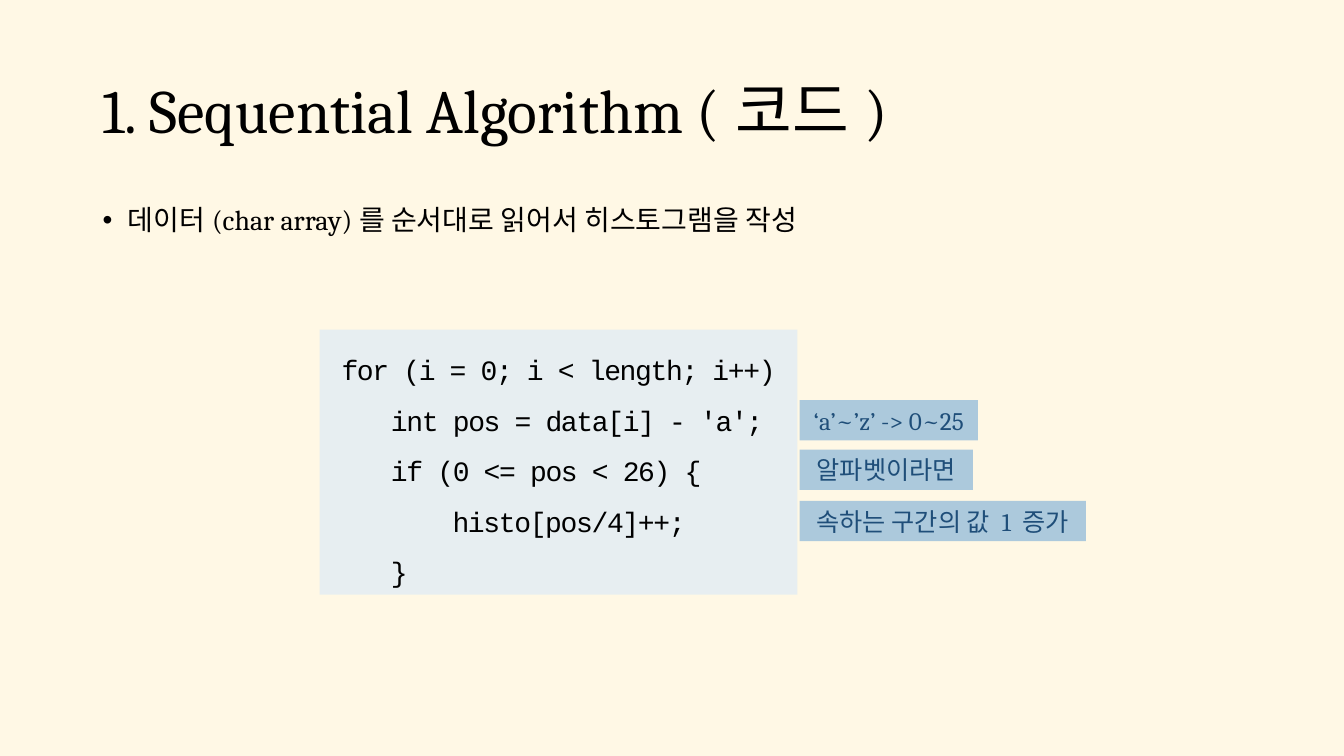
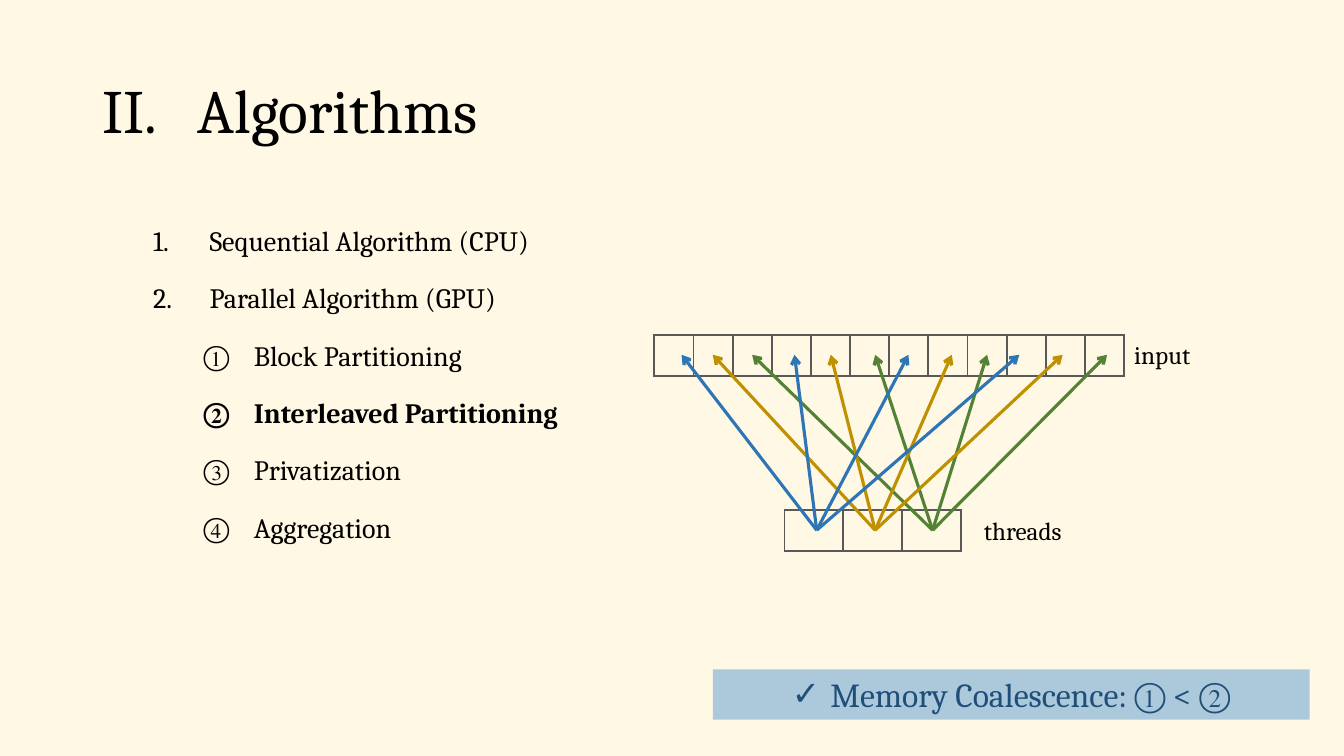
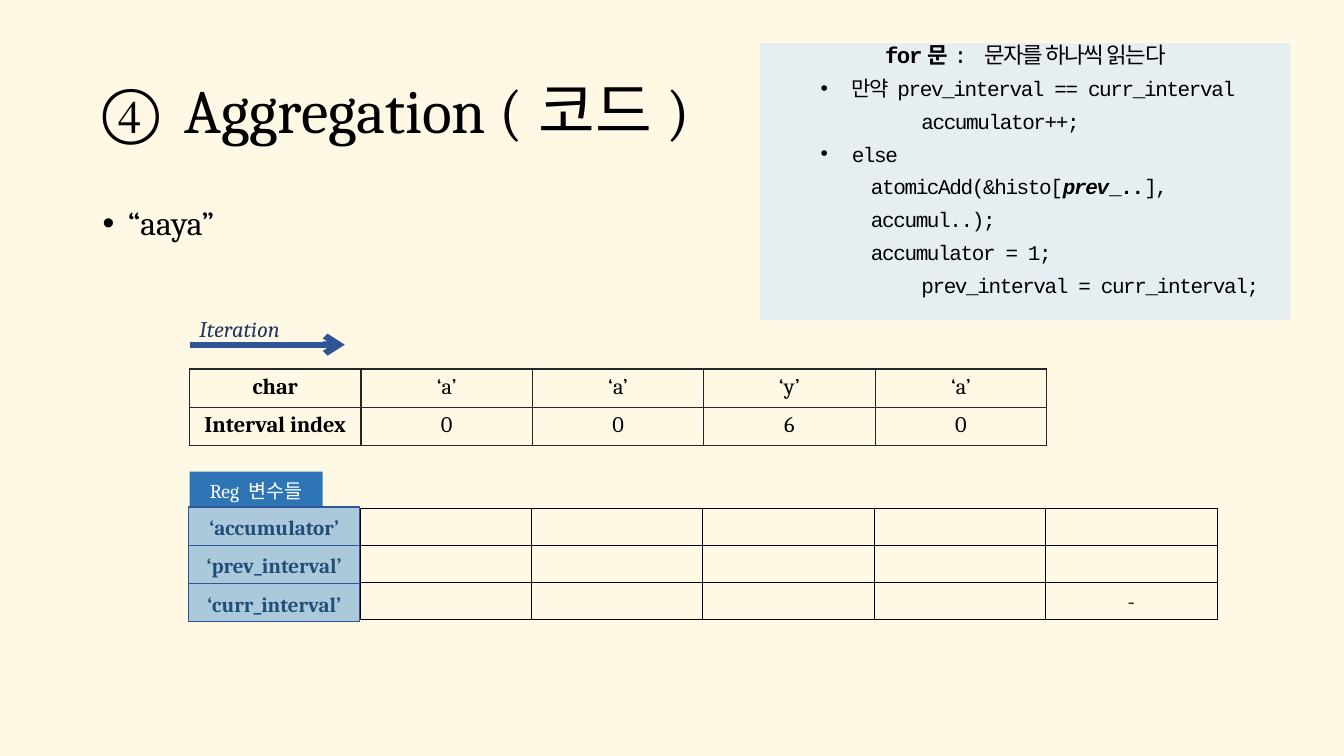
from dataclasses import dataclass, field
from typing import Any

from lxml import etree
from pptx import Presentation
from pptx.dml.color import RGBColor
from pptx.enum import shapes as sh, text as tx
from pptx.oxml import ns
from pptx.util import Inches, Pt

Box = tuple[float, float, float, float]


@dataclass(frozen=True)
class Theme:
    back: str = "FFF8E5"
    ink: str = "000000"
    navy: str = "1F4E79"
    deep: str = "203864"
    edge: str = "2F5597"
    blue: str = "2E75B6"
    gold: str = "BF9000"
    green: str = "548235"
    chip: str = "5B9BD5"
    code: str = "DEEBF7"
    grey: str = "595959"
    dark: str = "262626"
    white: str = "FFFFFF"
    serif: str = "Cambria"
    mono: str = "Courier New"
    title: float = 44
    large: float = 24
    body: float = 20
    label: float = 18
    small: float = 16
    tiny: float = 15
    tag: float = 14


T = Theme()
MID = tx.PP_ALIGN.CENTER


@dataclass(frozen=True)
class Font:
    size: float
    color: str = T.ink
    name: str = T.serif
    bold: bool = False
    italic: bool = False
    track: int = 0


@dataclass(frozen=True)
class Para:
    """One paragraph; each run is a text with its font changes."""
    runs: list[tuple[str, dict[str, Any]]]
    left: float = 0
    hang: float = 0
    mark: str = ""
    start: int = 1
    fmt: dict[str, Any] = field(default_factory=dict)


@dataclass(frozen=True)
class Thread:
    color: str
    foot: float
    tips: tuple[float, ...]


def line(text: str, left: float = 0, hang: float = 0, mark: str = "",
         start: int = 1, bold: bool = False, **fmt: Any) -> Para:
    return Para([(text, {"bold": bold} if bold else {})], left, hang, mark, start, fmt)


def child(node: Any, tag: str, **attrs: str) -> Any:
    part = etree.SubElement(node, ns.qn(tag))
    for key, val in attrs.items():
        part.set(key, val)
    return part


# Text
def style(run: Any, font: Font, change: dict[str, Any]) -> None:
    vals = {"size": Pt(font.size), "name": font.name, "bold": font.bold,
            "italic": font.italic} | change
    for key, val in vals.items():
        setattr(run.font, key, val)
    run.font.color.rgb = RGBColor.from_string(font.color)
    if font.track:
        run.font._element.set("spc", str(font.track))


def write(frame: Any, paras: list[Para], font: Font) -> None:
    for i, item in enumerate(paras):
        para = frame.paragraphs[0] if i == 0 else frame.add_paragraph()
        for key, val in item.fmt.items():
            setattr(para, key, val)
        props = para._p.get_or_add_pPr()
        props.set("marL", str(Inches(item.left)))
        props.set("indent", str(Inches(-item.hang)))
        if len(item.mark) > 1:
            child(props, "a:buAutoNum", type=item.mark, startAt=str(item.start))
        elif item.mark:
            child(props, "a:buFont", typeface="Arial")
            child(props, "a:buChar", char=item.mark)
        else:
            child(props, "a:buNone")
        for text, change in item.runs:
            run = para.add_run()
            run.text = text
            style(run, font, change)


def setup(frame: Any, wrap: bool, grow: bool, mid: bool) -> None:
    vals = {
        "word_wrap": wrap,
        "auto_size": tx.MSO_AUTO_SIZE.SHAPE_TO_FIT_TEXT if grow else tx.MSO_AUTO_SIZE.NONE,
        "vertical_anchor": tx.MSO_ANCHOR.MIDDLE if mid else tx.MSO_ANCHOR.TOP,
    }
    for key, val in vals.items():
        setattr(frame, key, val)


def note(slide: Any, box: Box, paras: list[Para], font: Font,
         wrap: bool = True, grow: bool = False, mid: bool = False) -> None:
    shape = slide.shapes.add_textbox(*map(Inches, box))
    setup(shape.text_frame, wrap, grow, mid)
    write(shape.text_frame, paras, font)


# Shapes
def rect(slide: Any, box: Box, paras: list[Para], font: Font, fill: str = "",
         alpha: int = 100, edge: str = "", width: float = 0.5,
         wrap: bool = True, grow: bool = True, mid: bool = False) -> Any:
    shape = slide.shapes.add_shape(sh.MSO_SHAPE.RECTANGLE, *map(Inches, box))
    shape.shadow.inherit = False
    if fill:
        shape.fill.solid()
        shape.fill.fore_color.rgb = RGBColor.from_string(fill)
        if alpha < 100:
            color = shape._element.spPr.find(".//" + ns.qn("a:srgbClr"))
            child(color, "a:alpha", val=str(alpha * 1000))
    else:
        shape.fill.background()
    if edge:
        shape.line.color.rgb = RGBColor.from_string(edge)
        shape.line.width = Pt(width)
    else:
        shape.line.fill.background()
    setup(shape.text_frame, wrap, grow and bool(paras), mid)
    write(shape.text_frame, paras, font)
    return shape


def arrow(slide: Any, x1: float, y1: float, x2: float, y2: float,
          color: str, width: float) -> None:
    link = slide.shapes.add_connector(
        sh.MSO_CONNECTOR.STRAIGHT, *map(Inches, (x1, y1, x2, y2)))
    link.line.color.rgb = RGBColor.from_string(color)
    link.line.width = Pt(width)
    child(link.line._get_or_add_ln(), "a:tailEnd", type="arrow")
    child(link._element.spPr, "a:effectLst")


def table(slide: Any, box: Box, rows: list[list[str]], color: str,
          width: float) -> None:
    grid = slide.shapes.add_table(len(rows), len(rows[0]), *map(Inches, box)).table
    grid.first_row = grid.horz_banding = False
    for r, row in enumerate(rows):
        for c, text in enumerate(row):
            cell = grid.cell(r, c)
            props = cell._tc.get_or_add_tcPr()
            for side in ("L", "R", "T", "B"):
                edge = child(props, f"a:ln{side}", w=str(Pt(width)))
                child(child(edge, "a:solidFill"), "a:srgbClr", val=color)
            cell.fill.background()
            if text:
                write(cell.text_frame, [line(text, bold=c == 0, alignment=MID)],
                      Font(T.small))


# Shared frame of every slide
def page(deck: Any, title: Para, body: list[Para], size: float) -> Any:
    slide = deck.slides.add_slide(deck.slide_layouts[6])
    slide.background.fill.solid()
    slide.background.fill.fore_color.rgb = RGBColor.from_string(T.back)
    note(slide, (0.92, 0.4, 11.5, 1.45), [title], Font(T.title), mid=True)
    note(slide, (0.92, 2, 11.5, 4.76), body, Font(size))
    return slide


def bullet(text: str) -> Para:
    return line(text, 0.25, 0.25, "•", line_spacing=0.9, space_before=Pt(10))


def serial(deck: Any) -> None:
    slide = page(deck, line("1. Sequential Algorithm (코드)", line_spacing=0.9),
                 [bullet("데이터(char array)를 순서대로 읽어서 히스토그램을 작성")], T.body)
    # Code, indented by steps of four letters
    step = 0.61
    code = [(0, "for (i = 0; i < length; i++)"), (1, "int pos = data[i] - 'a';"),
            (1, "if (0 <= pos < 26) {"), (2, "histo[pos/4]++;"), (1, "}")]
    rect(slide, (3.17, 3.27, 4.74, 2.63),
         [line(text, step * deep, line_spacing=1.5) for deep, text in code],
         Font(T.body, name=T.mono, track=-100), T.code, 70, mid=True)
    # Remarks beside the code
    for top, wide, text in [(3.97, 1.77, "‘a’~’z’ -> 0~25"), (4.46, 1.72, "알파벳이라면"),
                            (4.97, 2.84, "속하는 구간의 값 1 증가")]:
        rect(slide, (7.93, top, wide, 0.4), [line(text, alignment=MID)],
             Font(T.label, T.navy), T.chip, 50, wrap=False)


def plan(deck: Any) -> None:
    gaps = {"line_spacing": 1.5, "space_before": Pt(5)}
    heads = ["Sequential Algorithm (CPU)", "Parallel Algorithm (GPU)"]
    steps = ["Block Partitioning", "Interleaved Partitioning", "Privatization", "Aggregation"]
    body = [line(text, 1.06, 0.56, "arabicPeriod", level=1, **gaps) for text in heads]
    body += [line(text, 1.5, 0.5, "circleNumDbPlain", bold=text == steps[1], level=2, **gaps)
             for text in steps]
    title = line("Algorithms", 0.94, 0.94, "romanUcPeriod", 2, line_spacing=0.9)
    slide = page(deck, title, body, T.body)
    # Thread and input cells
    table(slide, (7.78, 5.06, 1.75, 0.41), [[""] * 3], T.grey, 1.5)
    table(slide, (6.49, 3.32, 4.66, 0.41), [[""] * 12], T.grey, 1.5)
    for box, text in [((11.15, 3.32, 0.78, 0.4), "input"), ((9.66, 5.06, 1.02, 0.4), "threads")]:
        note(slide, box, [line(text)], Font(T.label), wrap=False, grow=True)
    # Each thread reads every third cell
    threads = [Thread(T.gold, 8.68, (7.07, 8.24, 9.44, 10.54)),
               Thread(T.blue, 8.1, (6.76, 7.88, 9.01, 10.11)),
               Thread(T.green, 9.25, (7.46, 8.68, 9.79, 10.98))]
    for turn in range(4):
        for item in threads:
            arrow(slide, item.foot, 5.26, item.tips[turn], 3.52, item.color, 2.25)
    # Result bar
    rect(slide, (7.07, 6.64, 5.92, 0.5),
         [line("Memory Coalescence: ① < ②", 0.38, 0.38, "✓", alignment=MID)],
         Font(T.large, T.navy), T.chip, 50)


def gather(deck: Any) -> None:
    title = line("Aggregation (코드)", 0.81, 0.81, "circleNumDbPlain", 4, line_spacing=0.9)
    slide = page(deck, title, [bullet("“aaya”")], T.large)
    table(slide, (1.88, 3.66, 8.5, 0.76),
          [["char", "‘a’", "‘a’", "‘y’", "‘a’"], ["Interval index", "0", "0", "6", "0"]],
          T.dark, 1)
    # Code outline
    gap = {"line_spacing": 1.3}
    big = {"size": Pt(T.small)}
    code = [
        Para([("for문", big | {"bold": True}), (": 문자를 하나씩 읽는다", big)], fmt=gap),
        line("만약 prev_interval == curr_interval", 0.81, 0.31, "•", **gap),
        line("accumulator++;", 1.5, **gap),
        line("else", 0.81, 0.31, "•", **gap),
        Para([("atomicAdd(&histo[", {}), ("prev", {"bold": True, "italic": True}),
              ("_..", {"bold": True}), ("], accumul..);", {})], 1, fmt=gap),
        line("accumulator = 1;", 1, **gap),
        line("prev_interval = curr_interval;", 1.5, **gap),
    ]
    panel = rect(slide, (7.54, 0.43, 5.26, 2.75), code,
                 Font(T.tiny, name=T.mono, track=-100), T.code, 70, grow=False, mid=True)
    panel.text_frame.margin_bottom = Inches(0.38)
    # Register grid
    wide, high = 1.7, 0.37
    for col in range(5):
        for row in range(3):
            last = (col, row) == (4, 2)
            rect(slide, (3.57 + wide * col, 5.04 + high * row, wide, high),
                 [line("-", alignment=MID)] if last else [], Font(T.small), edge=T.ink)
    # Direction of the iteration
    arrow(slide, 1.88, 3.42, 3.42, 3.42, T.edge, 4.5)
    note(slide, (1.88, 3.08, 1.04, 0.37), [line("Iteration")],
         Font(T.small, T.deep, italic=True), wrap=False, grow=True)
    # Register names
    tight = {"alignment": MID, "line_spacing": 1.1}
    rect(slide, (1.88, 4.68, 1.32, 0.36), [line("Reg 변수들", **tight)],
         Font(T.tag, T.white), T.blue)
    for row, text in enumerate(["‘accumulator’", "‘prev_interval’", "‘curr_interval’"]):
        rect(slide, (1.87, 5.03 + 0.38 * row, wide, 0.38), [line(text, **tight)],
             Font(T.tiny, T.navy, bold=True), T.chip, 50, T.edge, 0.75)


def main() -> None:
    deck = Presentation()
    deck.slide_width, deck.slide_height = Inches(13.33), Inches(7.5)
    for build in (serial, plan, gather):
        build(deck)
    deck.save("out.pptx")


if __name__ == "__main__":
    main()
